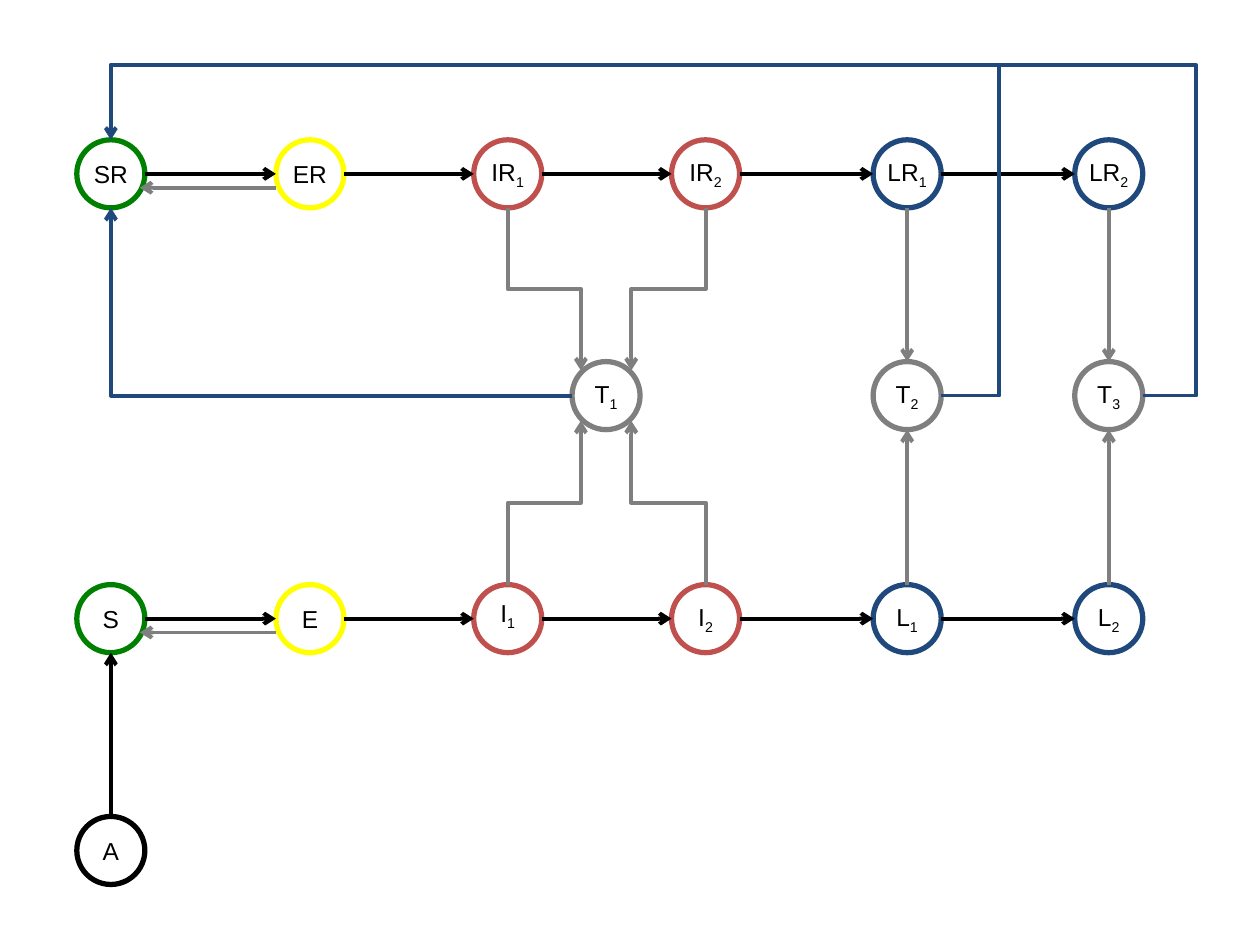
"""Build a compartment diagram of circles joined by straight and bent arrows."""
from dataclasses import dataclass

from lxml import etree
from pptx import Presentation
from pptx.dml.color import RGBColor
from pptx.enum.shapes import MSO_CONNECTOR as Connector, MSO_SHAPE as Shape
from pptx.enum.text import MSO_ANCHOR as Anchor, PP_ALIGN as Align
from pptx.oxml.ns import qn
from pptx.util import Inches, Pt

BLACK, GRAY, BLUE = "000000", "7F7F7F", "1F497D"
GREEN, YELLOW, RED = "008000", "FFFF00", "C0504D"
RADIUS = 0.27
COLUMNS = [0.88, 2.46, 4.03, 5.6, 7.2, 8.8]
COLUMN_COLORS = [GREEN, YELLOW, RED, RED, BLUE, BLUE]
RESISTANT_Y, TREATED_Y, SENSITIVE_Y, SOURCE_Y = 1.38, 3.14, 4.91, 6.75
TREATED_X = 4.81
LANE_Y = 0.52


@dataclass
class Node:
    label: str
    index: str
    x: float
    y: float
    color: str
    lift: float = 0


@dataclass
class Arrow:
    x1: float
    y1: float
    x2: float
    y2: float
    color: str


@dataclass
class Elbow:
    preset: str
    left: float
    top: float
    width: float
    height: float
    color: str
    rotation: int = 0
    flips: str = ""
    adjustments: tuple[float, ...] = ()
    head: str = "arrow"


def rgb(color: str) -> RGBColor:
    return RGBColor.from_string(color)


def add_node(slide, node: Node) -> None:
    shape = slide.shapes.add_shape(
        Shape.OVAL, Inches(node.x - RADIUS), Inches(node.y - RADIUS),
        Inches(2 * RADIUS), Inches(2 * RADIUS))
    shape.shadow.inherit = False
    shape.fill.background()
    shape.line.color.rgb = rgb(node.color)
    shape.line.width = Pt(3)
    frame = shape.text_frame
    frame.word_wrap = False
    frame.vertical_anchor = Anchor.MIDDLE
    frame.margin_left = frame.margin_right = frame.margin_top = 0
    frame.margin_bottom = Inches(2 * node.lift)
    paragraph = frame.paragraphs[0]
    paragraph.alignment = Align.CENTER
    for text, baseline in ((node.label, None), (node.index, "-25000")):
        if not text:
            continue
        run = paragraph.add_run()
        run.text = text
        run.font.name = "Arial"
        run.font.size = Pt(14)
        run.font.color.rgb = rgb(BLACK)
        if baseline:
            run.font._element.set("baseline", baseline)


def style_connector(connector, color: str, head: str) -> None:
    connector.line.color.rgb = rgb(color)
    connector.line.width = Pt(2.25)
    properties = connector._element.spPr
    line = properties.find(qn("a:ln"))
    etree.SubElement(line, qn("a:tailEnd")).set("type", head)
    etree.SubElement(properties, qn("a:effectLst"))


def add_arrow(slide, arrow: Arrow) -> None:
    connector = slide.shapes.add_connector(
        Connector.STRAIGHT, Inches(arrow.x1), Inches(arrow.y1),
        Inches(arrow.x2), Inches(arrow.y2))
    style_connector(connector, arrow.color, "arrow")


def add_elbow(slide, elbow: Elbow) -> None:
    connector = slide.shapes.add_connector(
        Connector.ELBOW, Inches(elbow.left), Inches(elbow.top),
        Inches(elbow.left + elbow.width), Inches(elbow.top + elbow.height))
    properties = connector._element.spPr
    transform = properties.find(qn("a:xfrm"))
    transform.set("rot", str(elbow.rotation * 60000))
    for flip in elbow.flips:
        transform.set("flip" + flip, "1")
    geometry = properties.find(qn("a:prstGeom"))
    geometry.set("prst", elbow.preset)
    guides = geometry.find(qn("a:avLst"))
    for number, value in enumerate(elbow.adjustments, 1):
        guide = etree.SubElement(guides, qn("a:gd"))
        guide.set("name", f"adj{number}")
        guide.set("fmla", f"val {round(value * 100000)}")
    style_connector(connector, elbow.color, elbow.head)


def treatment_elbow(x1: float, y1: float, x2: float, y2: float,
                    rotation: int, flips: str) -> Elbow:
    width, height = abs(y2 - y1), abs(x2 - x1)
    return Elbow("bentConnector3", (x1 + x2 - width) / 2, (y1 + y2 - height) / 2,
                 width, height, GRAY, rotation, flips, (0.5,))


def return_elbow(x: float, lane_x: float, head: str) -> Elbow:
    top = RESISTANT_Y - RADIUS
    width, height = x + RADIUS - COLUMNS[0], TREATED_Y - top
    return Elbow("bentConnector4", COLUMNS[0], top, width, height, BLUE, 0, "HV",
                 (-(lane_x - x - RADIUS) / width, (TREATED_Y - LANE_Y) / height), head)


def build_nodes() -> list[Node]:
    labels = [("S", ""), ("E", ""), ("I", "1"), ("I", "2"), ("L", "1"), ("L", "2")]
    nodes = [Node("A", "", COLUMNS[0], SOURCE_Y, BLACK)]
    for (label, index), x, color in zip(labels, COLUMNS, COLUMN_COLORS):
        lift = 0.03 if label + index == "I1" else 0
        nodes.append(Node(label, index, x, SENSITIVE_Y, color, lift))
        nodes.append(Node(label + "R", index, x, RESISTANT_Y, color))
    for number, x in enumerate((TREATED_X, *COLUMNS[4:]), 1):
        nodes.append(Node("T", str(number), x, TREATED_Y, GRAY))
    return nodes


def build_arrows() -> list[Arrow]:
    arrows = [Arrow(COLUMNS[0], SOURCE_Y - RADIUS,
                    COLUMNS[0], SENSITIVE_Y + RADIUS, BLACK)]
    for y in (RESISTANT_Y, SENSITIVE_Y):
        for start, end in zip(COLUMNS, COLUMNS[1:]):
            arrows.append(Arrow(start + RADIUS, y, end - RADIUS, y, BLACK))
        arrows.append(Arrow(COLUMNS[1] - RADIUS, y + 0.11,
                            COLUMNS[0] + 0.23, y + 0.11, GRAY))
        side = 1 if y < TREATED_Y else -1
        for x in COLUMNS[4:]:
            arrows.append(Arrow(x, y + side * RADIUS,
                                x, TREATED_Y - side * RADIUS, GRAY))
    return arrows


def build_elbows() -> list[Elbow]:
    bottom = RESISTANT_Y + RADIUS
    elbows = [
        Elbow("bentConnector2", COLUMNS[0], bottom, TREATED_X - RADIUS - COLUMNS[0],
              TREATED_Y - bottom, BLUE, 180),
        return_elbow(COLUMNS[4], 7.93, "arrow"),
        return_elbow(COLUMNS[5], 9.5, "triangle"),
    ]
    turns = [(RESISTANT_Y, 1, ((270, "H"), (90, ""))),
             (SENSITIVE_Y, -1, ((90, "HV"), (270, "V")))]
    for y, side, orientations in turns:
        for x, shift, (rotation, flips) in zip(COLUMNS[2:4], (-0.2, 0.2), orientations):
            elbows.append(treatment_elbow(x, y + side * RADIUS, TREATED_X + shift,
                                          TREATED_Y - side * 0.2, rotation, flips))
    return elbows


def main() -> None:
    presentation = Presentation()
    presentation.slide_width, presentation.slide_height = Inches(10), Inches(7.5)
    slide = presentation.slides.add_slide(presentation.slide_layouts[6])
    for node in build_nodes():
        add_node(slide, node)
    for arrow in build_arrows():
        add_arrow(slide, arrow)
    for elbow in build_elbows():
        add_elbow(slide, elbow)
    presentation.save("out.pptx")


main()
